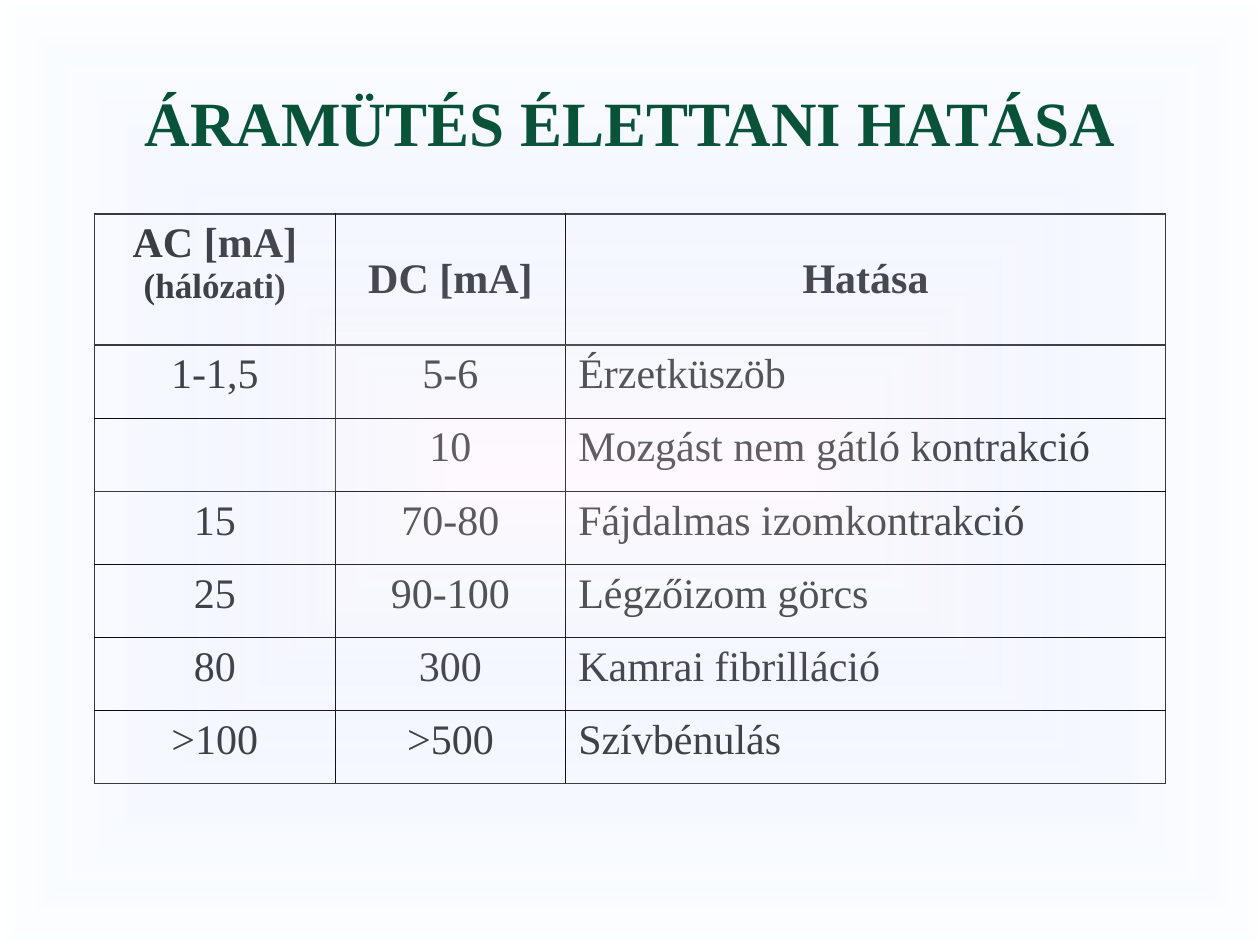
from lxml import etree
from pptx import Presentation
from pptx.dml.color import RGBColor
from pptx.enum.shapes import MSO_SHAPE
from pptx.enum.text import MSO_ANCHOR, PP_ALIGN
from pptx.oxml import parse_xml
from pptx.oxml.ns import nsdecls, qn
from pptx.util import Inches, Pt

RECT = MSO_SHAPE.RECTANGLE
TOP, MIDDLE, BOTTOM = MSO_ANCHOR.TOP, MSO_ANCHOR.MIDDLE, MSO_ANCHOR.BOTTOM
CENTER, JUSTIFY = PP_ALIGN.CENTER, PP_ALIGN.JUSTIFY

FONT = "Times New Roman"
GREEN = RGBColor(0x00, 0x4C, 0x2B)
GRAY = RGBColor(0x33, 0x33, 0x33)
BLACK = RGBColor(0x00, 0x00, 0x00)
PINK = RGBColor(0xFF, 0xEB, 0xFA)
BLUE = RGBColor(0x5E, 0x9E, 0xFF)

# Border styles: colour and width in points
THICK, THIN, HAIR = (GRAY, 1.08), (BLACK, 0.45), (GRAY, 0.11)

COLS = [1.91, 1.83, 4.76]
HEAD_H, ROW_H = 1.04, 0.58
HEAD = ["AC [mA] ", "DC [mA]", "Hatása"]
ROWS = [
    ["1-1,5", "5-6", "Érzetküszöb"],
    ["", "10", "Mozgást nem gátló kontrakció"],
    ["15", "70-80", "Fájdalmas izomkontrakció"],
    ["25", "90-100", "Légzőizom görcs"],
    ["80", "300", "Kamrai fibrilláció"],
    [">100", ">500", "Szívbénulás"],
]


def add_text(frame, text, size=24, color=GRAY, bold=False, align=CENTER):
    """Append a run to the first paragraph of the frame."""
    para = frame.paragraphs[0]
    para.alignment = align
    run = para.add_run()
    run.text = text
    font = run.font
    font.name, font.size, font.bold = FONT, Pt(size), bold
    font.color.rgb = color


def add_title(slide, left, top, width, height):
    box = slide.shapes.add_textbox(left, top, width, height)
    frame = box.text_frame
    frame.word_wrap = True
    frame.vertical_anchor = BOTTOM
    add_text(frame, "ÁRAMÜTÉS ÉLETTANI HATÁSA", size=36, color=GREEN, bold=True)


def row_line(edge, col):
    """Style of the horizontal line above row number edge."""
    if edge in (0, 1, len(ROWS) + 1):
        return THICK
    return HAIR if (edge, col) == (3, 0) else THIN


def col_line(edge, row):
    """Style of the vertical line left of column number edge."""
    if edge in (0, len(COLS)):
        return THICK
    return HAIR if edge == 1 and row in (1, 2) else THIN


def set_borders(cell, row, col):
    props = cell._tc.get_or_add_tcPr()
    lines = {
        "a:lnL": col_line(col, row),
        "a:lnR": col_line(col + 1, row),
        "a:lnT": row_line(row, col),
        "a:lnB": row_line(row + 1, col),
    }
    for tag, (color, width) in lines.items():
        line = etree.SubElement(props, qn(tag), w=str(int(Pt(width))))
        fill = etree.SubElement(line, qn("a:solidFill"))
        etree.SubElement(fill, qn("a:srgbClr"), val=str(color))


def add_effects(slide, left, top, width, height):
    """Table of the effects of alternating and direct current."""
    data = [HEAD] + ROWS
    shape = slide.shapes.add_table(len(data), len(COLS), left, top, width, height)
    table = shape.table
    table.first_row = table.horz_banding = False
    for column, size in zip(table.columns, COLS):
        column.width = Inches(size)
    for r, texts in enumerate(data):
        head = r == 0
        table.rows[r].height = Inches(HEAD_H if head else ROW_H)
        for c, text in enumerate(texts):
            cell = table.cell(r, c)
            set_borders(cell, r, c)
            cell.fill.background()
            cell.vertical_anchor = MIDDLE if head and c else TOP
            if text:
                align = JUSTIFY if c == 2 and not head else CENTER
                add_text(cell.text_frame, text, bold=head, align=align)
    add_text(table.cell(0, 0).text_frame, "(hálózati)", size=20, bold=True)


def add_glow(slide, left, top, width, height):
    """Translucent tint that fades from the centre to the edges."""
    shape = slide.shapes.add_shape(RECT, left, top, width, height)
    shape.shadow.inherit = False
    shape.line.fill.background()
    fill = parse_xml(
        f'<a:gradFill {nsdecls("a")} rotWithShape="1"><a:gsLst>'
        f'<a:gs pos="0"><a:srgbClr val="{PINK}"><a:alpha val="24000"/></a:srgbClr></a:gs>'
        f'<a:gs pos="100000"><a:srgbClr val="{BLUE}"><a:alpha val="0"/></a:srgbClr></a:gs>'
        '</a:gsLst><a:path path="rect">'
        '<a:fillToRect l="50000" t="50000" r="50000" b="50000"/>'
        '</a:path></a:gradFill>'
    )
    shape._element.spPr.find(qn("a:prstGeom")).addnext(fill)


def main():
    prs = Presentation()
    prs.slide_width, prs.slide_height = Inches(10), Inches(7.5)
    slide = prs.slides.add_slide(prs.slide_layouts[6])
    add_title(slide, Inches(0.75), Inches(0.5), Inches(8.5), Inches(0.81))
    add_effects(slide, Inches(0.75), Inches(1.7), Inches(8.5), Inches(4.52))
    add_glow(slide, 0, 0, prs.slide_width, prs.slide_height)
    prs.save("out.pptx")


if __name__ == "__main__":
    main()
